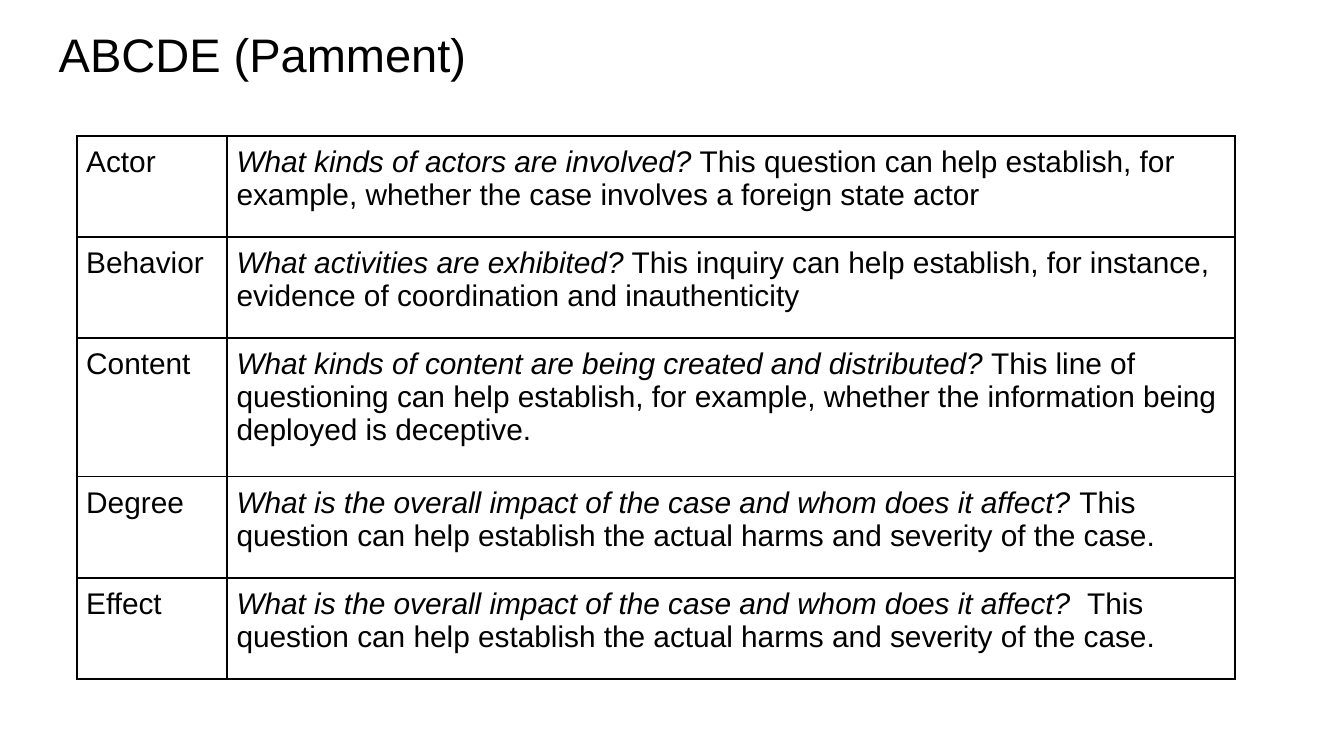
"""Build the ABCDE framework slide: a title above a two-column table."""
from lxml import etree
from pptx import Presentation
from pptx import util as u
from pptx.dml.color import RGBColor
from pptx.enum import text
from pptx.oxml import ns

BLACK = RGBColor(0, 0, 0)
IMPACT = "What is the overall impact of the case and whom does it affect? "
HARMS = "This question can help establish the actual harms and severity of the case."
ROWS = [
    ("Actor", 1.91, "What kinds of actors are involved?",
     " This question can help establish, for example, whether the case involves a foreign state actor"),
    ("Behavior", 1.91, "What activities are exhibited?",
     " This inquiry can help establish, for instance, evidence of coordination and inauthenticity"),
    ("Content", 2.62, "What kinds of content are being created and distributed?",
     " This line of questioning can help establish, for example, whether the information being deployed is deceptive."),
    ("Degree", 1.91, IMPACT, HARMS),
    ("Effect", 1.91, IMPACT, " " + HARMS),
]
COL_WIDTHS = (2.84, 19.05)


def style_run(r, size, italic=False):
    r.font.name = "Arial"
    r.font.size = u.Pt(size)
    r.font.italic = italic
    r.font.color.rgb = BLACK


def style_cell(cell):
    cell.margin_left = cell.margin_right = u.Cm(0.18)
    cell.margin_top = cell.margin_bottom = u.Cm(0.18)
    props = cell._tc.get_or_add_tcPr()
    for side in ("lnL", "lnR", "lnT", "lnB"):
        ln = etree.SubElement(props, ns.qn(f"a:{side}"), w=str(u.Pt(1)))
        fill = etree.SubElement(ln, ns.qn("a:solidFill"))
        etree.SubElement(fill, ns.qn("a:srgbClr"), val=str(BLACK))
    cell.fill.background()


prs = Presentation()
prs.slide_width, prs.slide_height = u.Cm(25.4), u.Cm(14.29)
s = prs.slides.add_slide(prs.slide_layouts[6])

title = s.shapes.add_textbox(u.Cm(0.86), u.Cm(0.2), u.Cm(23.67), u.Cm(1.6))
tf = title.text_frame
tf.word_wrap = True
tf.vertical_anchor = text.MSO_ANCHOR.BOTTOM
tf.margin_left = tf.margin_right = tf.margin_top = tf.margin_bottom = u.Cm(0.25)
tf.text = "ABCDE (Pamment)"
style_run(tf.paragraphs[0].runs[0], 25.2)

frame = s.shapes.add_table(len(ROWS), len(COL_WIDTHS), u.Cm(1.45), u.Cm(2.57),
                           u.Cm(sum(COL_WIDTHS)), u.Cm(sum(row[1] for row in ROWS)))
table = frame.table
table.first_row = table.horz_banding = False
for column, width in zip(table.columns, COL_WIDTHS):
    column.width = u.Cm(width)

for i, (label, height, question, answer) in enumerate(ROWS):
    table.rows[i].height = u.Cm(height)
    name_cell, detail_cell = table.cell(i, 0), table.cell(i, 1)
    style_cell(name_cell)
    style_cell(detail_cell)
    name_cell.text_frame.text = label
    style_run(name_cell.text_frame.paragraphs[0].runs[0], 16)
    p = detail_cell.text_frame.paragraphs[0]
    for words, italic in ((question, True), (answer, False)):
        r = p.add_run()
        r.text = words
        style_run(r, 16, italic)

prs.save("out.pptx")
